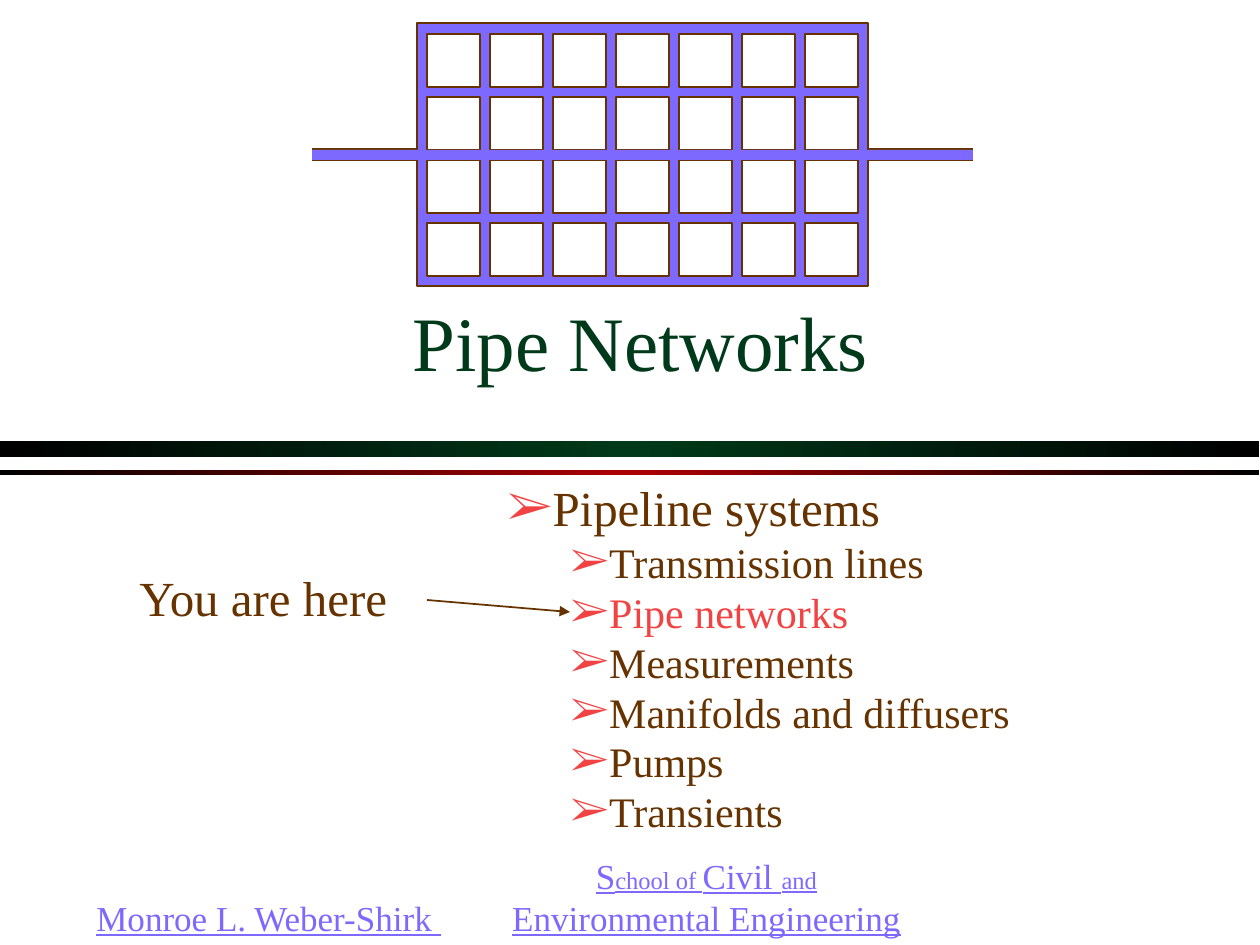
from copy import deepcopy

from pptx import Presentation
from pptx.dml.color import RGBColor
from pptx.enum.shapes import MSO_CONNECTOR, MSO_SHAPE
from pptx.enum.text import MSO_ANCHOR, PP_ALIGN
from pptx.oxml.ns import qn
from pptx.oxml.xmlchemy import OxmlElement
from pptx.util import Emu, Pt

PIXEL = 914400 / 126
FONT = "Times New Roman"
BLACK = RGBColor(0x00, 0x00, 0x00)
WHITE = RGBColor(0xFF, 0xFF, 0xFF)
GREEN = RGBColor(0x00, 0x3A, 0x1A)
DARK_RED = RGBColor(0xAC, 0x00, 0x00)
RED = RGBColor(0xF1, 0x43, 0x43)
BROWN = RGBColor(0x66, 0x33, 0x00)
VIOLET = RGBColor(0x7E, 0x69, 0xFF)


def px(length):
    """Turn pixels into EMU."""
    return Emu(round(length * PIXEL))


def add_xml(parent, tag, **attributes):
    """Append an XML element with attributes and return it."""
    child = OxmlElement(tag)
    for name, value in attributes.items():
        child.set(name, str(value))
    parent.append(child)
    return child


def add_rect(page, box, fill=None, line=None):
    """Draw a flat rectangle in box."""
    shape = page.shapes.add_shape(MSO_SHAPE.RECTANGLE, *map(px, box))
    shape.shadow.inherit = False
    if fill is not None:
        shape.fill.solid()
        shape.fill.fore_color.rgb = fill
    if line is None:
        shape.line.fill.background()
    else:
        shape.line.color.rgb = line
        shape.line.width = Pt(1)
    return shape


def add_line(page, start, end, arrow=False):
    """Draw a thin brown line, with an arrowhead at its end if asked."""
    line = page.shapes.add_connector(
        MSO_CONNECTOR.STRAIGHT, *map(px, (*start, *end)))
    line.line.color.rgb = BROWN
    line.line.width = Pt(1)
    if arrow:
        add_xml(line.line._get_or_add_ln(), "a:tailEnd", type="triangle")
    add_xml(line._element.spPr, "a:effectLst")


def add_text_box(page, box, wrap=True, anchor=MSO_ANCHOR.TOP):
    """Place an empty text box and return its text frame."""
    frame = page.shapes.add_textbox(*map(px, box)).text_frame
    frame.word_wrap = wrap
    frame.vertical_anchor = anchor
    return frame


def add_span(para, text, size=28, color=BROWN, underline=None):
    """Add formatted text to a paragraph."""
    span = para.add_run()
    span.text = text
    span.font.name = FONT
    span.font.size = Pt(size)
    span.font.color.rgb = color
    span.font.underline = underline
    return span


def add_band(page, box, middle):
    """Draw a bar that fades from black to a middle colour and back."""
    band = add_rect(page, box)
    band.fill.gradient()
    band.fill.gradient_angle = 0
    stop_list = next(band._element.spPr.iter(qn("a:gsLst")))
    stop_list.append(deepcopy(stop_list[0]))
    stops = zip(band.fill.gradient_stops, (0, 0.5, 1), (BLACK, middle, BLACK))
    for stop, position, color in stops:
        stop.position = position
        stop.color.rgb = color


def add_pipe_grid(page, box, columns=7, rows=4, pitch=63, cell=53, reach=105):
    """Draw the pipe grid in box, with inlet and outlet pipes beside it."""
    left, top, width, height = box
    right = left + width
    add_rect(page, box, VIOLET, BROWN)
    for row in range(rows):
        for column in range(columns):
            cell_box = (left + 10 + column * pitch, top + 11 + row * pitch,
                        cell, cell)
            add_rect(page, cell_box, WHITE, BROWN)
    pipe_top = top + 126
    for y in (pipe_top, pipe_top + 11):
        add_line(page, (left - reach, y), (left, y))
        add_line(page, (right, y), (right + reach, y))
    add_rect(page, (left - reach, pipe_top + 1, width + 2 * reach, 10), VIOLET)


def add_title(page, box, text):
    """Write the centred title with a small text shadow."""
    para = add_text_box(page, box, anchor=MSO_ANCHOR.MIDDLE).paragraphs[0]
    para.alignment = PP_ALIGN.CENTER
    span = add_span(para, text, size=44, color=GREEN)
    effects = OxmlElement("a:effectLst")
    shadow = add_xml(effects, "a:outerShdw", dist=17961, dir=2700000)
    add_xml(shadow, "a:srgbClr", val=BLACK)
    span.font._element.find(qn("a:solidFill")).addnext(effects)


def add_outline(page, box, heading, topics, current):
    """Write the bulleted outline with the current topic in red."""
    frame = add_text_box(page, box)
    for index, text in enumerate([heading, *topics]):
        para = frame.add_paragraph() if index else frame.paragraphs[0]
        size = 24 if index else 28
        para.line_spacing = 0.8
        para.space_before = Pt(5.5 if index else 6.4)
        properties = para._element.get_or_add_pPr()
        properties.set("marL", str(px(63) if index else 0))
        properties.set("indent", "0")
        color = add_xml(properties, "a:buClr")
        add_xml(color, "a:srgbClr", val=RED)
        add_xml(properties, "a:buFont", typeface=FONT)
        add_xml(properties, "a:buChar", char="\u27a2")
        add_span(para, text, size, RED if text == current else BROWN)


def add_pointer(page, box, text):
    """Write the label and draw its arrow to the current topic."""
    left, top, width, height = box
    add_span(add_text_box(page, box, wrap=False).paragraphs[0], text)
    add_line(page, (left + 300, top + 39), (left + 443, top + 51), arrow=True)


def add_credit(page, box, parts, align):
    """Write an underlined credit from pairs of text and size."""
    para = add_text_box(page, box).paragraphs[0]
    para.alignment = align
    for text, size in parts:
        add_span(para, text, size, VIOLET, underline=True)


deck = Presentation()
deck.slide_width, deck.slide_height = px(1260), px(945)
page = deck.slides.add_slide(deck.slide_layouts[6])

add_band(page, (0, 441, 1259, 16), GREEN)
add_band(page, (0, 470, 1259, 5), DARK_RED)
add_credit(page, (84, 890, 451, 53), [("Monroe L. Weber-Shirk ", 20)],
           PP_ALIGN.LEFT)
add_credit(page, (491, 848, 431, 97),
           [("S", 20), ("chool of ", 14), ("Civil ", 20), ("and", 14),
            (" Environmental Engineering", 20)], PP_ALIGN.CENTER)
add_pipe_grid(page, (417, 23, 451, 263))
add_title(page, (105, 262, 1071, 158), "Pipe Networks")
add_outline(page, (495, 483, 626, 382), "Pipeline systems",
            ["Transmission lines", "Pipe networks", "Measurements",
             "Manifolds and diffusers", "Pumps", "Transients"],
            current="Pipe networks")
add_pointer(page, (127, 561, 278, 72), "You are here")

deck.save("out.pptx")
